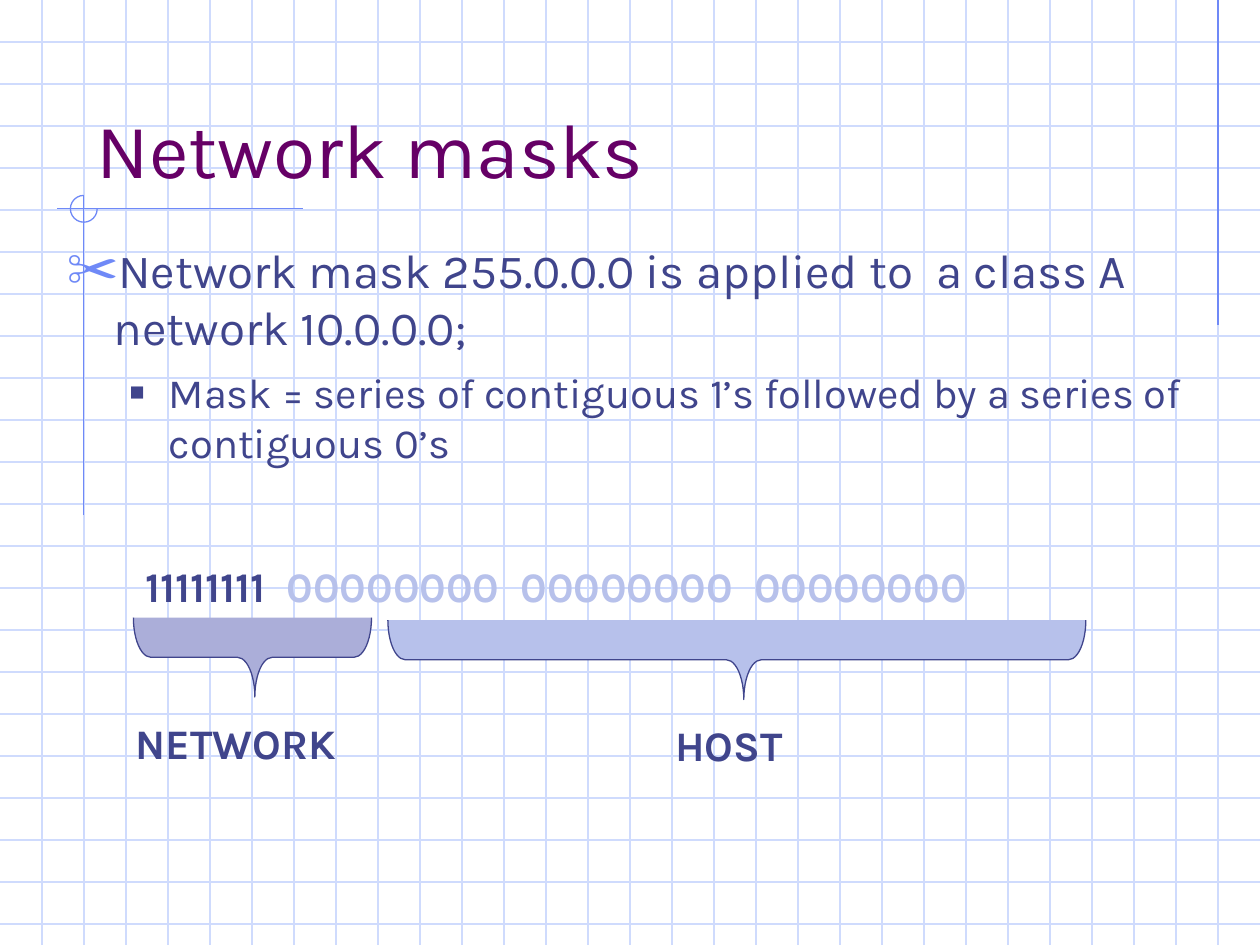
from collections import namedtuple

from lxml.etree import SubElement
from pptx import Presentation
from pptx.dml.color import RGBColor
from pptx.enum.shapes import MSO_CONNECTOR, MSO_SHAPE
from pptx.enum.text import MSO_ANCHOR, MSO_AUTO_SIZE, PP_ALIGN
from pptx.oxml.ns import qn
from pptx.util import Cm, Pt

Box = namedtuple("Box", "left top width height")

GRID_BLUE = RGBColor(0xCF, 0xDB, 0xFD)
ACCENT_BLUE = RGBColor(0x6F, 0x89, 0xF7)
PLUM = RGBColor(0x66, 0x00, 0x66)
INK = RGBColor(0x40, 0x45, 0x8C)
NETWORK_FILL = RGBColor(0xAB, 0xAE, 0xD9)
HOST_FILL = RGBColor(0xB7, 0xC1, 0xEB)

FONT = "Karla"
GRID_COLUMNS = 30
LINE_WIDTH = Pt(0.75)


def place(shape, box):
    for name, value in box._asdict().items():
        setattr(shape, name, Cm(value))


def write_span(para, text, color, size, bold=False):
    span = para.add_run()
    span.text = text
    for name, value in {"name": FONT, "size": Pt(size), "bold": bold}.items():
        setattr(span.font, name, value)
    span.font.color.rgb = color


def draw_line(group, start, end, color):
    line = group.shapes.add_connector(MSO_CONNECTOR.STRAIGHT, *start, *end)
    line.line.color.rgb = color
    line.line.width = LINE_WIDTH
    SubElement(line.element.spPr, qn("a:effectLst"))


def add_outlined_shape(shapes, kind, box, color):
    shape = shapes.add_shape(kind, *map(Cm, box))
    shape.shadow.inherit = False
    shape.line.color.rgb = color
    shape.line.width = LINE_WIDTH
    return shape


def add_label(page, box, spans):
    label = page.shapes.add_textbox(*map(Cm, box))
    label.text_frame.word_wrap = True
    for text, color in spans:
        write_span(label.text_frame.paragraphs[0], text, color, 24, bold=True)


def add_graph_paper(page, width, height):
    group = page.shapes.add_group_shape()
    step = width / GRID_COLUMNS
    for row in range(1, int(height / step) + 1):
        y = round(row * step)
        draw_line(group, (0, y), (width, y), GRID_BLUE)
    for column in range(1, GRID_COLUMNS):
        x = round(column * step)
        draw_line(group, (x, 0), (x, height), GRID_BLUE)

    margin = round(width - step)
    draw_line(group, (margin, 0), (margin, Cm(6.55)), ACCENT_BLUE)
    draw_line(group, (Cm(6.1), Cm(4.21)), (Cm(1.14), Cm(4.21)), ACCENT_BLUE)
    draw_line(group, (Cm(1.69), Cm(3.94)), (Cm(1.69), Cm(10.39)), ACCENT_BLUE)
    arc = add_outlined_shape(
        group.shapes, MSO_SHAPE.ARC, Box(1.42, 3.94, 0.54, 0.54), ACCENT_BLUE
    )
    arc.adjustments[0] = 0
    arc.adjustments[1] = 162
    arc.fill.background()
    page.shapes.element.insert(2, group.element)


def fill_title(page, box):
    title = page.shapes.title
    place(title, box)
    frame = title.text_frame
    frame.auto_size = MSO_AUTO_SIZE.NONE
    frame.vertical_anchor = MSO_ANCHOR.BOTTOM
    para = frame.paragraphs[0]
    para.alignment = PP_ALIGN.LEFT
    write_span(para, "Network masks", PLUM, 44)


def set_bullet(para, symbol, color, percent, margin, indent):
    properties = para._p.get_or_add_pPr()
    properties.set("marL", str(Cm(margin)))
    properties.set("indent", str(Cm(indent)))
    bullet_color = SubElement(properties, qn("a:buClr"))
    SubElement(bullet_color, qn("a:srgbClr"), val=str(color))
    SubElement(properties, qn("a:buSzPct"), val=str(percent * 1000))
    SubElement(properties, qn("a:buChar"), char=symbol)


def fill_body(page, box):
    body = page.placeholders[1]
    place(body, box)
    frame = body.text_frame
    frame.auto_size = MSO_AUTO_SIZE.NONE
    items = [
        ("Network mask 255.0.0.0 is applied to  a class A network 10.0.0.0;",
         27.2, 8, ("✂", ACCENT_BLUE, 110, 0.95, -0.95)),
        ("Mask = series of contiguous 1’s followed by a series of contiguous 0’s",
         23.8, 7, ("■", INK, 60, 2.06, -0.79)),
    ]
    for level, (text, size, space, bullet) in enumerate(items):
        para = frame.add_paragraph() if level else frame.paragraphs[0]
        settings = {"level": level, "space_before": Pt(space), "alignment": PP_ALIGN.LEFT}
        for name, value in settings.items():
            setattr(para, name, value)
        set_bullet(para, *bullet)
        write_span(para, text, INK, size)


def add_brace(page, box, color):
    center_x = box.left + box.width / 2
    center_y = box.top + box.height / 2
    upright = Box(center_x - box.height / 2, center_y - box.width / 2, box.height, box.width)
    brace = add_outlined_shape(page.shapes, MSO_SHAPE.LEFT_BRACE, upright, INK)
    brace.rotation = 270
    brace.adjustments[0] = 0.22
    brace.adjustments[1] = 0.51
    brace.fill.solid()
    brace.fill.fore_color.rgb = color


def add_mask_diagram(page, box):
    digits = Box(box.left + 0.2, box.top, box.width - 0.2, 1.27)
    add_label(page, digits, [
        ("11111111  ", INK),
        ("00000000  00000000  00000000", HOST_FILL),
    ])
    parts = [
        ("NETWORK", NETWORK_FILL, 0.2, 1.27, 4.8, 0, 5.41),
        ("HOST", HOST_FILL, 5.33, 1.32, 14.07, 10.87, 3.33),
    ]
    for name, color, brace_left, brace_top, brace_width, label_left, label_width in parts:
        top = box.top + brace_top
        add_brace(page, Box(box.left + brace_left, top, brace_width, 1.6), color)
        add_label(page, Box(box.left + label_left, top + 1.88, label_width, 1.27), [(name, INK)])


def main():
    deck = Presentation()
    deck.slide_width = Cm(25.4)
    deck.slide_height = Cm(19.05)
    page = deck.slides.add_slide(deck.slide_layouts[1])
    add_graph_paper(page, deck.slide_width, deck.slide_height)
    fill_title(page, Box(1.69, 0.85, 21.59, 3.18))
    fill_body(page, Box(1.09, 4.72, 23.8, 6.2))
    add_mask_diagram(page, Box(2.49, 11.18, 20.01, 4.47))
    deck.save("out.pptx")


if __name__ == "__main__":
    main()
